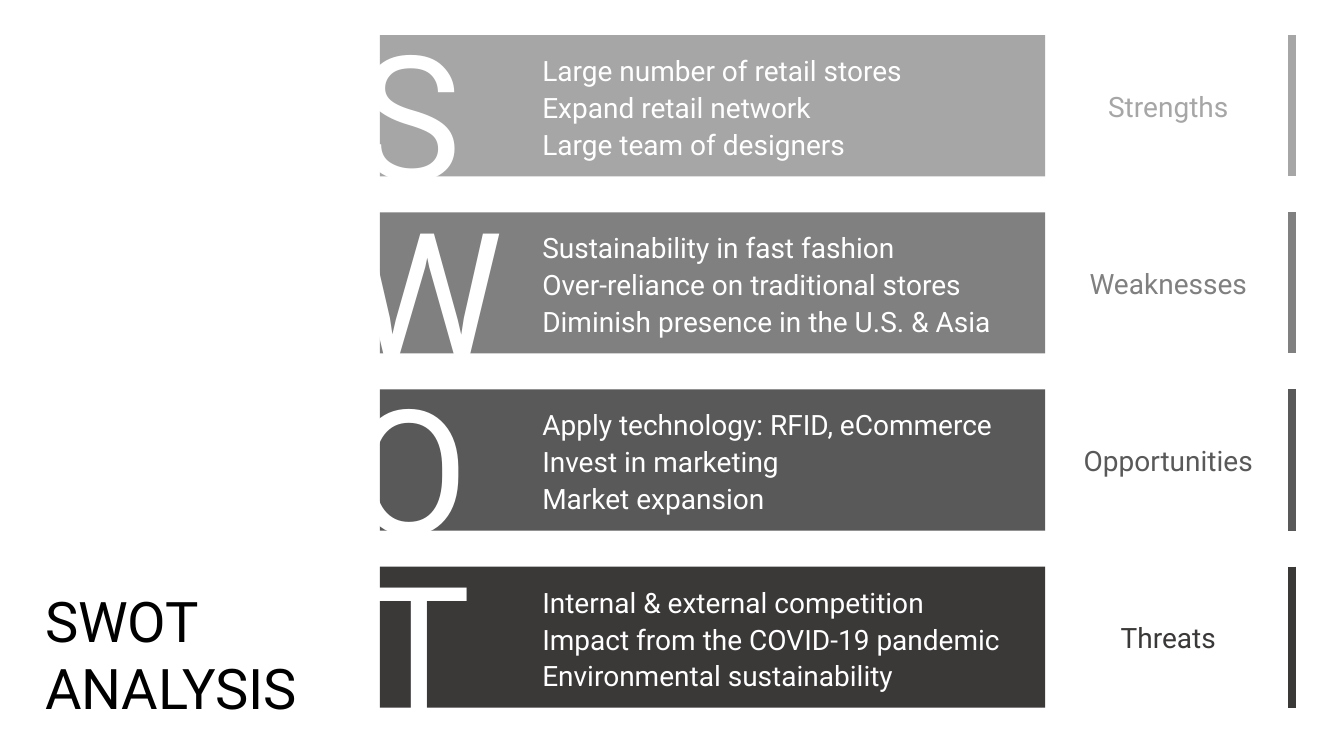
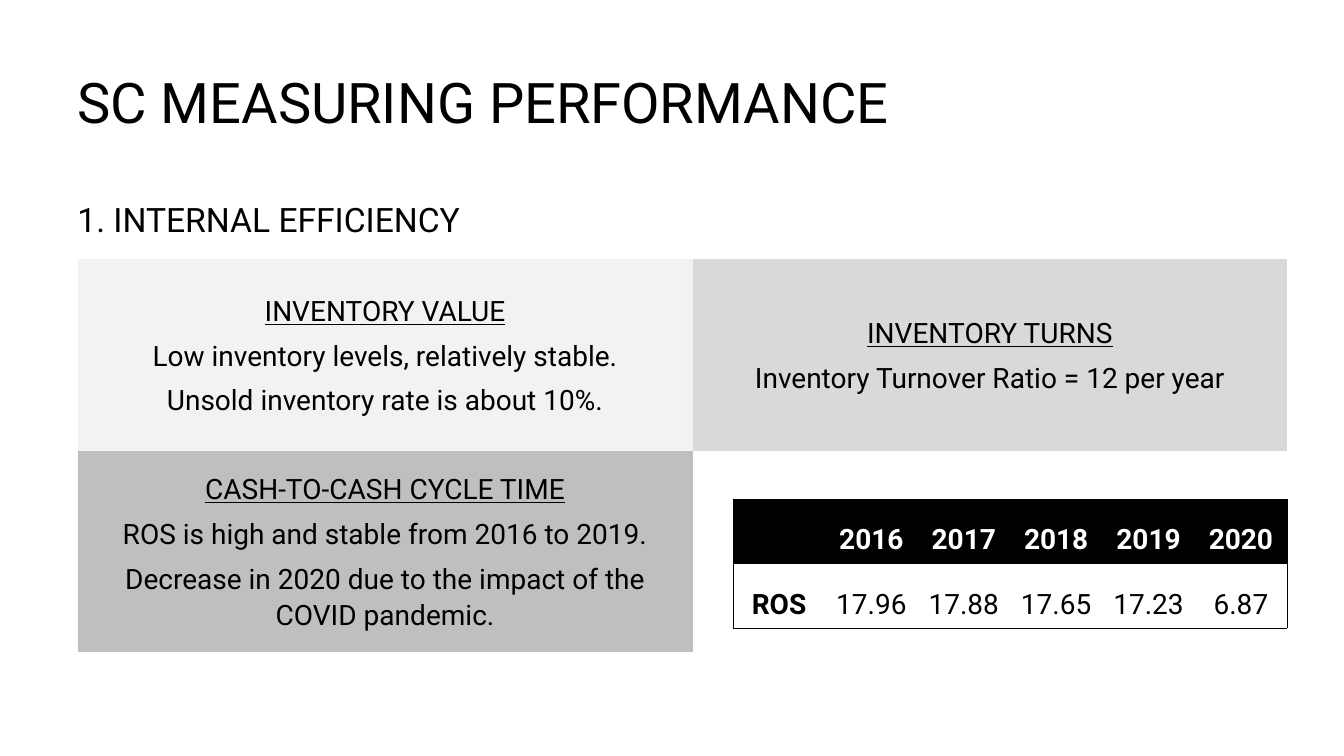
from lxml.etree import SubElement
from pptx import Presentation
from pptx.dml.color import RGBColor
from pptx.enum.shapes import MSO_CONNECTOR, MSO_SHAPE
from pptx.enum.text import MSO_ANCHOR, PP_ALIGN
from pptx.oxml.ns import qn
from pptx.util import Inches, Pt

FONT = "Roboto"
BLACK = RGBColor(0x00, 0x00, 0x00)
WHITE = RGBColor(0xFF, 0xFF, 0xFF)
SILVER = RGBColor(0xA6, 0xA6, 0xA6)
GREY = RGBColor(0x80, 0x80, 0x80)
SLATE = RGBColor(0x59, 0x59, 0x59)
CHARCOAL = RGBColor(0x3B, 0x38, 0x38)
PALE = RGBColor(0xF2, 0xF2, 0xF2)
LIGHT = RGBColor(0xD9, 0xD9, 0xD9)
MID = RGBColor(0xBF, 0xBF, 0xBF)

TITLE_SIZE, HEADING_SIZE, BODY_SIZE, LETTER_SIZE = 40, 24, 20, 124
PLAIN_TABLE_STYLE = "{2D5ABB26-0587-4C30-8999-92F81FD0307C}"

# The slide is a grid of square cells, 133.33 columns by 75 rows.
GRID_COLUMNS, GRID_ROWS = 133.33, 75

# Bands of the SWOT slide, in grid cells
BAND_LEFT, BAND_TOP, BAND_WIDTH, BAND_HEIGHT = 37.7, 3.5, 66, 14
BAND_PITCH = 17.57
LETTER_RISE = 3.3

SWOT = [
    ("S", 34.6, "Strengths", SILVER,
     ["Large number of retail stores", "Expand retail network",
      "Large team of designers"]),
    ("W", 33.7, "Weaknesses", GREY,
     ["Sustainability in fast fashion", "Over-reliance on traditional stores",
      "Diminish presence in the U.S. & Asia"]),
    ("O", 33.7, "Opportunities", SLATE,
     ["Apply technology: RFID, eCommerce", "Invest in marketing",
      "Market expansion"]),
    ("T", 35.5, "Threats", CHARCOAL,
     ["Internal & external competition", "Impact from the COVID-19 pandemic",
      "Environmental sustainability"]),
]

MEASURES = [
    [(PALE, ["INVENTORY VALUE", "Low inventory levels, relatively stable.",
             "Unsold inventory rate is about 10%."]),
     (LIGHT, ["INVENTORY TURNS", "Inventory Turnover Ratio = 12 per year"])],
    [(MID, ["CASH-TO-CASH CYCLE TIME",
            "ROS is high and stable from 2016 to 2019.",
            "Decrease in 2020 due to the impact of the COVID pandemic."]),
     (None, [])],
]

RETURN_ON_SALES = [
    ["", "2016", "2017", "2018", "2019", "2020"],
    ["ROS", "17.96", "17.88", "17.65", "17.23", "6.87"],
]


def cells(count):
    """Length of a number of grid cells."""
    return Inches(count / 10)


def write(frame, lines, size=BODY_SIZE, color=BLACK, align=PP_ALIGN.LEFT,
          spacing=None, after=None):
    """Put one paragraph per line into a text frame and return them."""
    frame.word_wrap = True
    for index, line in enumerate(lines):
        paragraph = frame.add_paragraph() if index else frame.paragraphs[0]
        paragraph.text = line
        paragraph.alignment = align
        paragraph.font.name = FONT
        paragraph.font.size = Pt(size)
        paragraph.font.color.rgb = color
        if spacing:
            paragraph.line_spacing = spacing
        if after:
            paragraph.space_after = Pt(after)
    return frame.paragraphs


def add_text(slide, box, lines, anchor=MSO_ANCHOR.TOP, **style):
    frame = slide.shapes.add_textbox(*map(cells, box)).text_frame
    frame.vertical_anchor = anchor
    write(frame, lines, **style)


def add_title(slide, box, lines):
    add_text(slide, box, lines, size=TITLE_SIZE)


def add_band(slide, top, color, points):
    band = slide.shapes.add_shape(
        MSO_SHAPE.RECTANGLE,
        *map(cells, (BAND_LEFT, top, BAND_WIDTH, BAND_HEIGHT)))
    band.shadow.inherit = False
    band.fill.solid()
    band.fill.fore_color.rgb = color
    band.line.fill.background()
    band.text_frame.margin_left = cells(16.1)
    band.text_frame.vertical_anchor = MSO_ANCHOR.MIDDLE
    write(band.text_frame, points, color=WHITE, spacing=1.1)


def add_edge(slide, left, top, color):
    """Thick upright line that closes a band on the right."""
    edge = slide.shapes.add_connector(
        MSO_CONNECTOR.STRAIGHT,
        *map(cells, (left, top, left, top + BAND_HEIGHT)))
    edge.line.color.rgb = color
    edge.line.width = Pt(6)
    SubElement(edge._element.spPr, qn("a:effectLst"))


def add_plain_table(slide, left, top, widths, heights):
    """Table without style, banding or borders."""
    frame = slide.shapes.add_table(
        len(heights), len(widths),
        *map(cells, (left, top, sum(widths), sum(heights))))
    table = frame.table
    table.first_row = table.horz_banding = False
    for style in frame._element.iter(qn("a:tableStyleId")):
        style.text = PLAIN_TABLE_STYLE
    for column, width in zip(table.columns, widths):
        column.width = cells(width)
    for row, height in zip(table.rows, heights):
        row.height = cells(height)
    return table


def fill_cell(cell, color):
    if color is None:
        cell.fill.background()
    else:
        cell.fill.solid()
        cell.fill.fore_color.rgb = color


def draw_borders(cell, sides):
    """Thin black borders; sides holds letters of LRTB in that order."""
    properties = cell._tc.get_or_add_tcPr()
    for side in sides:
        border = SubElement(properties, qn(f"a:ln{side}"), w=str(Pt(0.5)))
        fill = SubElement(border, qn("a:solidFill"))
        SubElement(fill, qn("a:srgbClr"), val=str(BLACK))


def add_measures_table(slide):
    table = add_plain_table(slide, 7.7, 25.7, [61, 59], [19, 20])
    for row, measures in enumerate(MEASURES):
        for column, (color, lines) in enumerate(measures):
            cell = table.cell(row, column)
            cell.vertical_anchor = MSO_ANCHOR.MIDDLE
            fill_cell(cell, color)
            if lines:
                heading = write(cell.text_frame, lines, spacing=1.1, after=6,
                                align=PP_ALIGN.CENTER)[0]
                heading.font.underline = True


def add_sales_table(slide):
    column_count = len(RETURN_ON_SALES[0])
    table = add_plain_table(slide, 72.7, 49.5,
                            [55 / column_count] * column_count, [6.4] * 2)
    for row, values in enumerate(RETURN_ON_SALES):
        header = row == 0
        for column, value in enumerate(values):
            cell = table.cell(row, column)
            cell.vertical_anchor = MSO_ANCHOR.BOTTOM
            cell.margin_left = cell.margin_right = cells(0.7)
            cell.margin_top = cell.margin_bottom = cells(0.7)
            left = "L" if column == 0 else ""
            right = "R" if column == column_count - 1 else ""
            draw_borders(cell, left + right + "TB")
            fill_cell(cell, BLACK if header else None)
            text = write(cell.text_frame, [value], spacing=1.5,
                         color=WHITE if header else BLACK,
                         align=PP_ALIGN.CENTER)[0]
            text.font.bold = header or column == 0


def build_swot(slide):
    for index, (letter, letter_left, label, color, points) in enumerate(SWOT):
        top = BAND_TOP + index * BAND_PITCH
        add_band(slide, top, color, points)
        add_text(slide, (letter_left, top - LETTER_RISE, 26.9, 21.9),
                 [letter], size=LETTER_SIZE, color=WHITE)
        add_text(slide, (103.9, top, 24, BAND_HEIGHT), [label], color=color,
                 anchor=MSO_ANCHOR.MIDDLE, align=PP_ALIGN.CENTER)
        add_edge(slide, 128.2, top, color)
    add_title(slide, (3.5, 57.7, 32, 14.5), ["SWOT", "ANALYSIS"])


def build_performance(slide):
    add_title(slide, (6.7, 6.2, 125, 7.7), ["SC MEASURING PERFORMANCE"])
    add_text(slide, (6.7, 18.8, 78, 5.1), ["1. INTERNAL EFFICIENCY"],
             size=HEADING_SIZE, spacing=1.1, after=6)
    add_measures_table(slide)
    add_sales_table(slide)


def main():
    deck = Presentation()
    deck.slide_width = cells(GRID_COLUMNS)
    deck.slide_height = cells(GRID_ROWS)
    blank = deck.slide_layouts[6]
    for build in (build_swot, build_performance):
        build(deck.slides.add_slide(blank))
    deck.save("out.pptx")


if __name__ == "__main__":
    main()
